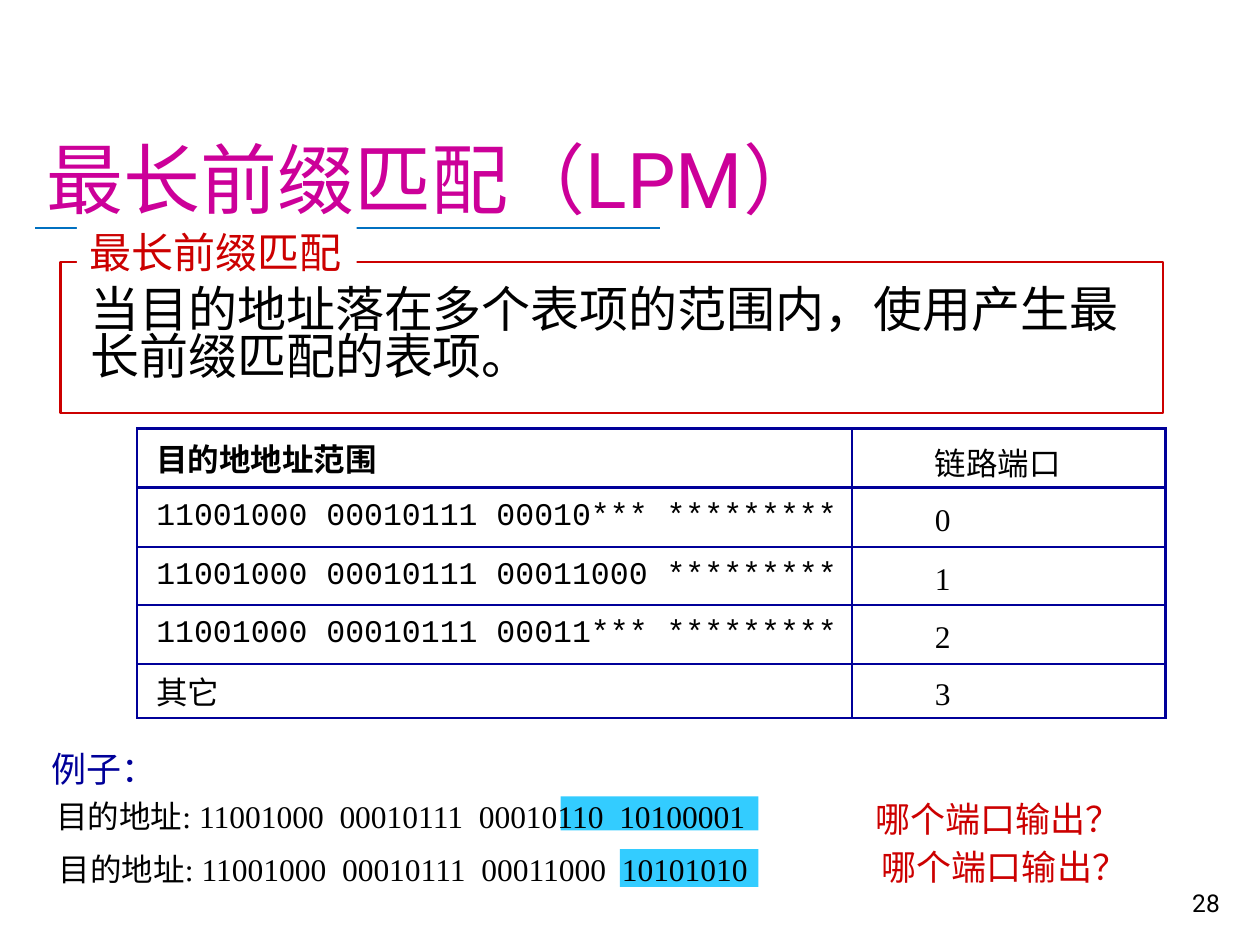
from lxml import etree
from pptx import Presentation
from pptx.dml.color import RGBColor
from pptx.enum.shapes import MSO_CONNECTOR, MSO_SHAPE
from pptx.enum.text import MSO_ANCHOR, MSO_AUTO_SIZE, PP_ALIGN
from pptx.oxml.ns import qn
from pptx.util import Inches, Pt

RECTANGLE, STRAIGHT = MSO_SHAPE.RECTANGLE, MSO_CONNECTOR.STRAIGHT
TOP, MIDDLE, BOTTOM = MSO_ANCHOR.TOP, MSO_ANCHOR.MIDDLE, MSO_ANCHOR.BOTTOM
LEFT, RIGHT = PP_ALIGN.LEFT, PP_ALIGN.RIGHT
GROW, FIXED = MSO_AUTO_SIZE.SHAPE_TO_FIT_TEXT, MSO_AUTO_SIZE.NONE
BLACK = RGBColor(0x00, 0x00, 0x00)
WHITE = RGBColor(0xFF, 0xFF, 0xFF)
MAGENTA = RGBColor(0xCC, 0x00, 0x99)
RED = RGBColor(0xCC, 0x00, 0x00)
NAVY = RGBColor(0x00, 0x00, 0x99)
BLUE = RGBColor(0x00, 0x70, 0xC0)
CYAN = RGBColor(0x33, 0xCC, 0xFF)

deck = Presentation()
deck.slide_width, deck.slide_height = Inches(10), Inches(7.5)
page = deck.slides.add_slide(deck.slide_layouts[6])


def add_rectangle(left, top, width, height, fill, line=None):
    box = page.shapes.add_shape(RECTANGLE, Inches(left), Inches(top), Inches(width), Inches(height))
    box.shadow.inherit = False
    box.fill.solid()
    box.fill.fore_color.rgb = fill
    if line is None:
        box.line.fill.background()
    else:
        box.line.color.rgb = line
        box.line.width = Pt(1.5)


def add_text(left, top, width, height, text, size, font, color,
             wrap=False, anchor=TOP, align=LEFT, fit=GROW, spacing=None):
    box = page.shapes.add_textbox(Inches(left), Inches(top), Inches(width), Inches(height))
    frame = box.text_frame
    frame.word_wrap, frame.auto_size, frame.vertical_anchor = wrap, fit, anchor
    para = frame.paragraphs[0]
    para.alignment, para.line_spacing = align, spacing
    span = para.add_run()
    span.text = text
    span.font.size, span.font.name = Pt(size), font
    span.font.color.rgb = color


# Title, rule and page number
rule = page.shapes.add_connector(STRAIGHT, Inches(0.28), Inches(1.81), Inches(5.24), Inches(1.81))
rule.line.color.rgb = BLUE
rule.line.width = Pt(1.25)
etree.SubElement(rule._element.spPr, qn("a:effectLst"))
add_text(0.27, 0.23, 9.51, 1.6, "最长前缀匹配（LPM）", 44, "Roboto", MAGENTA,
         wrap=True, anchor=BOTTOM, fit=FIXED)
add_text(7.7, 6.83, 2.08, 0.5, "28", 14, "Roboto", BLACK,
         wrap=True, anchor=BOTTOM, align=RIGHT, fit=FIXED)

# Definition in a frame, its heading set into the top edge
add_rectangle(0.48, 2.08, 8.75, 1.2, WHITE, RED)
add_text(0.62, 2.25, 8.53, 0.85, "当目的地址落在多个表项的范围内，使用产生最长前缀匹配的表项。",
         28, "Calibri", BLACK, wrap=True, spacing=0.8)
add_rectangle(0.61, 1.75, 2.22, 0.5, WHITE)
add_text(0.61, 1.75, 2.22, 0.5, "最长前缀匹配", 24, "Calibri", RED)

# Forwarding table: text and font of the range, then the port
ROWS = [
    ("目的地地址范围", "Times New Roman", "链路端口"),
    ("11001000 00010111 00010*** *********", "Courier New", "0"),
    ("11001000 00010111 00011000 *********", "Courier New", "1"),
    ("11001000 00010111 00011*** *********", "Courier New", "2"),
    ("其它", "Cambria", "3"),
]
ROW_HEIGHTS = [0.47, 0.47, 0.46, 0.47, 0.43]
table = page.shapes.add_table(len(ROWS), 2, Inches(1.09), Inches(3.4), Inches(8.16), Inches(2.3)).table
table.first_row = table.horz_banding = False
table.columns[0].width, table.columns[1].width = Inches(5.67), Inches(2.49)
for row, (prefix, prefix_font, port) in enumerate(ROWS):
    table.rows[row].height = Inches(ROW_HEIGHTS[row])
    # Ports sit a little lower than the prefixes
    columns = [(prefix, prefix_font, 0.15, 0), (port, "Times New Roman", 0.66, 0.06)]
    for column, (text, font, indent, drop) in enumerate(columns):
        cell = table.cell(row, column)
        cell.margin_left, cell.margin_top = Inches(indent), Inches(drop)
        cell.margin_right = cell.margin_bottom = 0
        cell.vertical_anchor = MIDDLE
        properties = cell._tc.get_or_add_tcPr()
        for side in ("a:lnL", "a:lnR", "a:lnT", "a:lnB"):
            border = etree.SubElement(properties, qn(side), w=str(Pt(1.5)))
            paint = etree.SubElement(border, qn("a:solidFill"))
            etree.SubElement(paint, qn("a:srgbClr"), val=str(NAVY))
        cell.fill.background()
        span = cell.text_frame.paragraphs[0].add_run()
        span.text = text
        span.font.size, span.font.name = Pt(18), font
        span.font.bold = row == 0 and column == 0
        span.font.color.rgb = BLACK

# Examples, with the bits outside the prefix highlighted
add_rectangle(4.45, 6.32, 1.57, 0.27, CYAN)
add_rectangle(4.92, 6.74, 1.1, 0.3, CYAN)
add_text(0.31, 5.88, 1.04, 0.44, "例子：", 20, "Times New Roman", NAVY)
EXAMPLES = [
    (0.35, 6.28, "00010110  10100001", 6.85, 6.28),
    (0.37, 6.7, "00011000  10101010", 6.9, 6.66),
]
for left, top, ending, question_left, question_top in EXAMPLES:
    add_text(left, top, 5.8, 0.4, "目的地址: 11001000  00010111  " + ending,
             18, "Times New Roman", BLACK)
    add_text(question_left, question_top, 2.17, 0.44, "哪个端口输出？", 20, "Calibri", RED)

deck.save("out.pptx")
